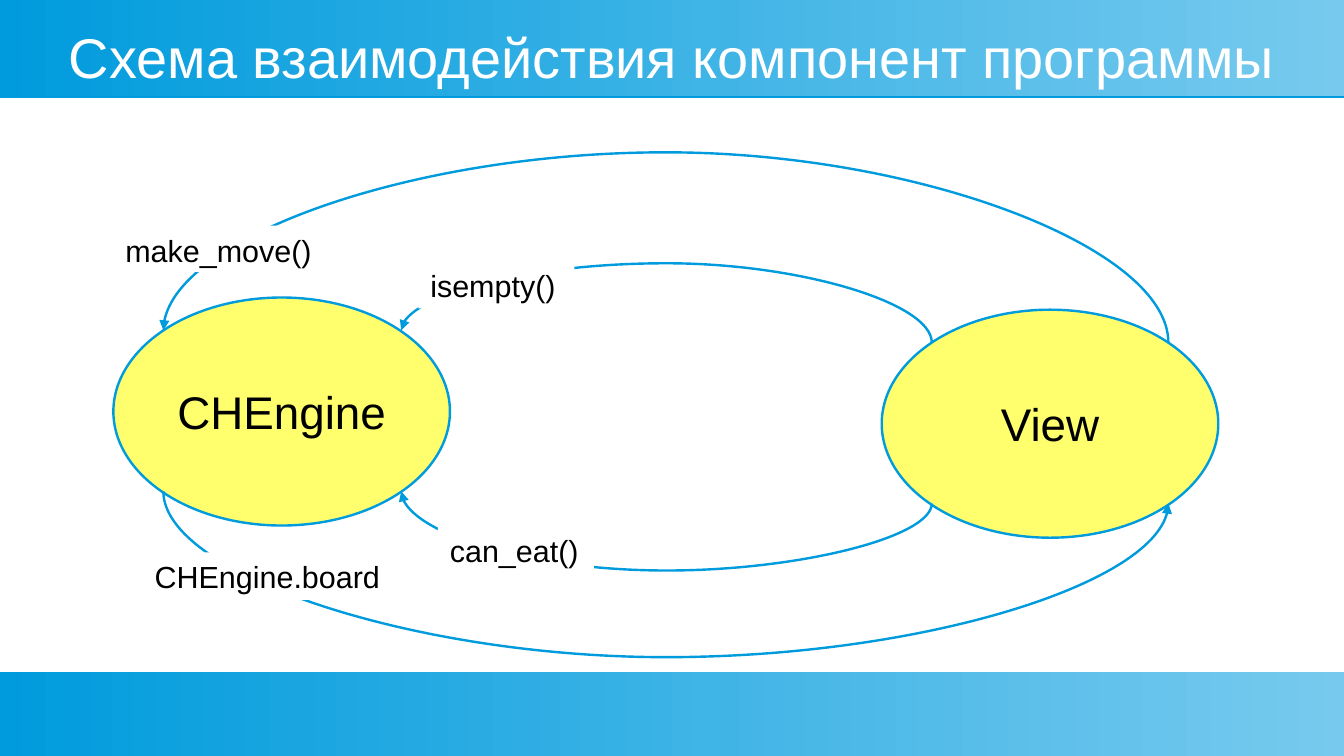
import pptx
import pptx.dml.color
import pptx.enum.dml
import pptx.enum.shapes
import pptx.enum.text
import pptx.oxml
import pptx.oxml.ns
import pptx.util
from dataclasses import dataclass

Inches = pptx.util.Inches
SHAPE = pptx.enum.shapes.MSO_SHAPE
ALIGN = pptx.enum.text.PP_ALIGN
ANCHOR = pptx.enum.text.MSO_ANCHOR


@dataclass(frozen=True)
class Theme:
    blue: str = "009BDD"
    light_blue: str = "77CAEE"
    yellow: str = "FFFF6D"
    white: str = "FFFFFF"
    black: str = "000000"
    font: str = "Arial"
    title_size: int = 33
    component_size: int = 27
    call_size: int = 18
    line_width: float = 1.42


THEME = Theme()
SLIDE_WIDTH, SLIDE_HEIGHT = 11.02, 6.2
COMPONENT_SIZE = (2.76, 1.87)


def rgb(value):
    return pptx.dml.color.RGBColor.from_string(value)


def element(xml):
    return pptx.oxml.parse_xml(xml.replace(" ", f" {pptx.oxml.ns.nsdecls('a')} ", 1))


def set_values(target, values):
    for name, value in values.items():
        setattr(target, name, value)


def write_text(holder, text, size, color, align, frame_format):
    frame = holder.text_frame
    set_values(frame, frame_format)
    paragraph = frame.paragraphs[0]
    paragraph.text = text
    paragraph.alignment = align
    set_values(paragraph.font, {"name": THEME.font, "size": pptx.util.Pt(size)})
    paragraph.font.color.rgb = rgb(color)


def add_plain_shape(slide, kind, box):
    shape = slide.shapes.add_shape(kind, *map(Inches, box))
    shape.shadow.inherit = False
    shape.line.fill.background()
    return shape


def set_line(line):
    line.color.rgb = rgb(THEME.blue)
    line.width = pptx.util.Pt(THEME.line_width)


def add_band(slide, top, height):
    band = add_plain_shape(slide, SHAPE.RECTANGLE, (0, top, SLIDE_WIDTH, height))
    band.fill.gradient()
    band.fill.gradient_angle = 0
    for stop, color in zip(band.fill.gradient_stops, (THEME.blue, THEME.light_blue)):
        stop.color.rgb = rgb(color)
    # Thin shadow along the lower edge
    effects = band._element.spPr.find(pptx.oxml.ns.qn("a:effectLst"))
    effects.append(element(
        '<a:outerShdw dist="11430" dir="5400000" algn="ctr" rotWithShape="0">'
        f'<a:srgbClr val="{THEME.blue}"/></a:outerShdw>'))


def add_title(slide, text):
    title = slide.shapes.add_textbox(*map(Inches, (0.39, 0.2, 10.24, 0.52)))
    write_text(title, text, THEME.title_size, THEME.white, ALIGN.CENTER, {
        "word_wrap": True, "vertical_anchor": ANCHOR.MIDDLE,
        "margin_left": 0, "margin_right": 0, "margin_top": 0, "margin_bottom": 0})


def add_component(slide, text, left, top):
    component = add_plain_shape(slide, SHAPE.OVAL, (left, top, *COMPONENT_SIZE))
    component.fill.solid()
    component.fill.fore_color.rgb = rgb(THEME.yellow)
    set_line(component.line)
    write_text(component, text, THEME.component_size, THEME.black, ALIGN.CENTER,
               {"word_wrap": False, "vertical_anchor": ANCHOR.MIDDLE})


def add_call_arrow(slide, begin, end, apex):
    """Curve from begin to end that bulges to the height apex."""
    (begin_x, begin_y), (end_x, end_y) = begin, end
    # The curve is drawn sideways and turned a quarter, so its sides swap
    width, height = abs(end_y - begin_y), abs(end_x - begin_x)
    arrow = slide.shapes.add_connector(
        pptx.enum.shapes.MSO_CONNECTOR.CURVE, 0, 0, 0, 0)
    set_values(arrow, {
        "left": Inches((begin_x + end_x - width) / 2),
        "top": Inches((begin_y + end_y - height) / 2),
        "width": Inches(width), "height": Inches(height)})
    properties = arrow._element.spPr
    turn = properties.find(pptx.oxml.ns.qn("a:xfrm"))
    turn.set("rot", str(270 * 60000))
    turn.set("flipV" if end_x < begin_x else "flipH", "1")

    bulge = round((begin_y - apex) / (begin_y - end_y) * 100000)
    guides = properties.find(pptx.oxml.ns.qn("a:prstGeom")).get_or_add_avLst()
    guides.append(element(f'<a:gd name="adj1" fmla="val {bulge}"/>'))

    set_line(arrow.line)
    arrow.line._get_or_add_ln().append(element('<a:tailEnd type="triangle"/>'))
    properties.append(element("<a:effectLst />"))


def add_call_label(slide, text, box):
    label = add_plain_shape(slide, SHAPE.RECTANGLE, box)
    label.fill.solid()
    label.fill.fore_color.rgb = rgb(THEME.white)
    write_text(label, text, THEME.call_size, THEME.black, ALIGN.LEFT,
               {"word_wrap": True, "vertical_anchor": ANCHOR.TOP})


def main():
    deck = pptx.Presentation()
    set_values(deck, {"slide_width": Inches(SLIDE_WIDTH),
                      "slide_height": Inches(SLIDE_HEIGHT)})
    slide = deck.slides.add_slide(deck.slide_layouts[6])

    # Bands and title
    add_band(slide, 0, 0.79)
    add_band(slide, 5.51, 0.69)
    add_title(slide, "Схема взаимодействия компонент программы")

    # Program components
    add_component(slide, "CHEngine", 0.93, 2.44)
    add_component(slide, "View", 7.23, 2.54)

    # Calls: label, label box, arrow begin, arrow end, arrow apex
    calls = (
        ("make_move()", (0.93, 1.85, 1.77, 0.38), (9.58, 2.81), (1.34, 2.71), 1.25),
        ("isempty()", (3.43, 2.14, 1.28, 0.39), (7.64, 2.81), (3.29, 2.71), 2.16),
        ("can_eat()", (3.59, 4.31, 1.28, 0.38), (7.64, 4.13), (3.29, 4.03), 4.68),
        ("CHEngine.board", (1.17, 4.53, 2.07, 0.39), (1.34, 4.03), (9.58, 4.13), 5.39),
    )
    for text, box, begin, end, apex in calls:
        add_call_arrow(slide, begin, end, apex)
        add_call_label(slide, text, box)

    deck.save("out.pptx")


if __name__ == "__main__":
    main()
